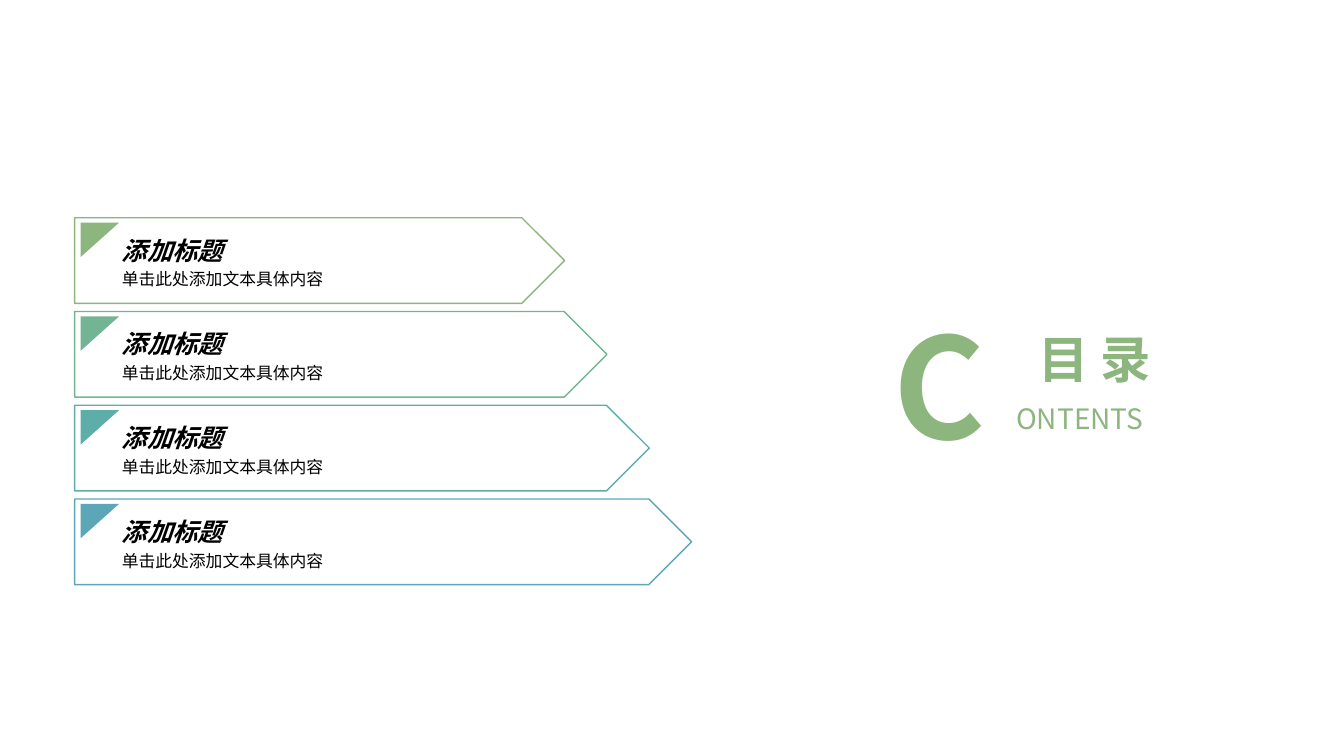
import pptx
import pptx.dml.color
import pptx.enum.shapes
import pptx.enum.text
import pptx.oxml.ns
import pptx.util
from lxml import etree

PX = 9144  # EMU per px, 100 px to the inch
FONT = "Noto Sans CJK SC"
COLORS = {
    "black": "000000",
    "green": "8DB57E",
    "mint": "72B494",
    "teal": "5DAEA9",
    "blue": "5CA7B7",
}
ALIGN = pptx.enum.text.PP_ALIGN
ANCHOR = pptx.enum.text.MSO_ANCHOR


class Page:
    def __init__(self, slide):
        self.slide = slide
        self.shapes = slide.shapes

    def color(self, name):
        return pptx.dml.color.RGBColor.from_string(COLORS[name])

    def label(self, shape, text, size, color, bold=False, italic=False,
              align=ALIGN.LEFT, anchor=ANCHOR.TOP, inset=(10, 5, 10, 5), space=None):
        """Fill a shape with one styled paragraph; inset is left, top, right, bottom."""
        frame = shape.text_frame
        frame.word_wrap = True
        frame.auto_size = pptx.enum.text.MSO_AUTO_SIZE.NONE
        frame.vertical_anchor = anchor
        (frame.margin_left, frame.margin_top,
         frame.margin_right, frame.margin_bottom) = [n * PX for n in inset]
        para = frame.paragraphs[0]
        para.text = text
        para.alignment = align
        if space:
            para.line_spacing = space
        font = para.font
        font.size = pptx.util.Pt(size)
        font.bold = bold
        font.italic = italic
        font.color.rgb = self.color(color)
        font.name = FONT
        qn = pptx.oxml.ns.qn
        props = para._p.pPr.find(qn("a:defRPr"))
        etree.SubElement(props, qn("a:ea")).set("typeface", FONT)

    def title(self, box, text, size, color, **style):
        shape = self.shapes.title
        shape.left, shape.top, shape.width, shape.height = [n * PX for n in box]
        self.label(shape, text, size, color, **style)

    def text(self, box, text, size, color, **style):
        shape = self.shapes.add_textbox(*[n * PX for n in box])
        self.label(shape, text, size, color, **style)

    def arrow(self, box, color):
        kind = pptx.enum.shapes.MSO_SHAPE.PENTAGON
        shape = self.shapes.add_shape(kind, *[n * PX for n in box])
        shape.shadow.inherit = False
        shape.fill.background()
        shape.line.color.rgb = self.color(color)
        shape.line.width = pptx.util.Pt(1)

    def corner(self, left, top, width, height, color):
        """Draw a filled triangle with its right angle at the top left."""
        outline = self.shapes.build_freeform(left, top, scale=PX)
        outline.add_line_segments([(left + width, top), (left, top + height)])
        shape = outline.convert_to_shape()
        shape.shadow.inherit = False
        shape.fill.solid()
        shape.fill.fore_color.rgb = self.color(color)
        shape.line.fill.background()


def main():
    deck = pptx.Presentation()
    deck.slide_width = pptx.util.Inches(13.33)
    deck.slide_height = pptx.util.Inches(7.5)
    page = Page(deck.slides.add_slide(deck.slide_layouts[5]))

    for row, color in enumerate(["green", "mint", "teal", "blue"]):
        top = 216 + 93 * row
        page.arrow((74, top, 486 + 42 * row, 85), color)
        page.corner(80, top + 5, 38, 34, color)
        page.text((111, top + 5, 411, 42), "添加标题", 18, "black", bold=True,
                  italic=True, anchor=ANCHOR.BOTTOM, inset=(10, 5, 10, 0), space=1.2)
        page.text((111, top + 47, 411, 32), "单击此处添加文本具体内容", 12, "black",
                  inset=(10, 0, 10, 5), space=1.2)

    page.title((998, 314, 175, 77), "目 录", 36, "green", bold=True,
               align=ALIGN.CENTER, anchor=ANCHOR.BOTTOM)
    page.text((773, 277, 204, 207), "C", 100, "green", bold=True,
              align=ALIGN.RIGHT, anchor=ANCHOR.MIDDLE, inset=(0, 0, 0, 0))
    page.text((998, 393, 175, 44), "ONTENTS", 20, "green", align=ALIGN.JUSTIFY)
    deck.save("out.pptx")


if __name__ == "__main__":
    main()
